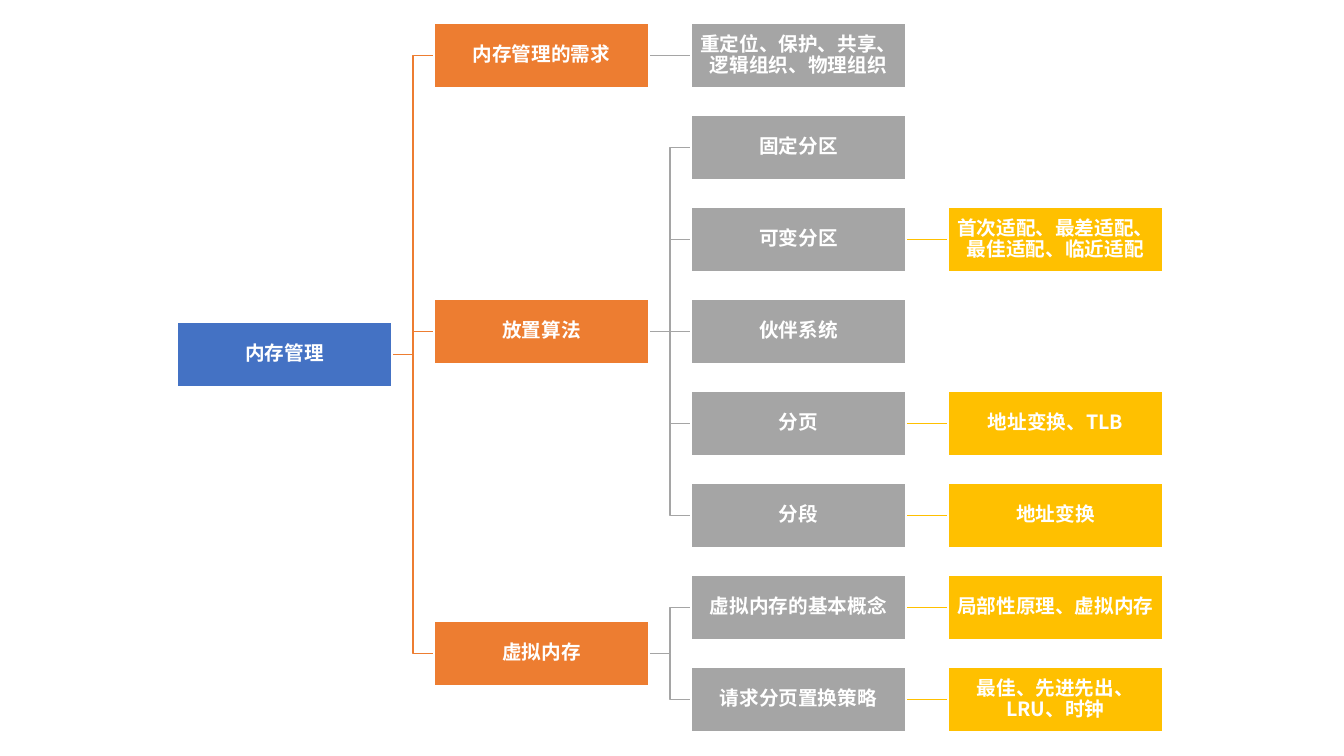
from dataclasses import dataclass

import pptx
import pptx.dml.color
import pptx.enum.shapes
import pptx.enum.text
import pptx.oxml
import pptx.oxml.ns
import pptx.shapes.autoshape
import pptx.slide
import pptx.util
from lxml import etree

EMU_PER_PX = 914400 / 100.8
SLIDE_WIDTH, SLIDE_HEIGHT = 1344, 756
BOX_WIDTH, BOX_HEIGHT = 215, 65
TREE_LEFT, TREE_TOP = 177, 23
COLUMN_PITCH, ROW_PITCH = 257, 92
TEXT_INSET = 1
LEFT_SITE, RIGHT_SITE = 1, 3


@dataclass(frozen=True)
class Theme:
    levels: tuple[str, ...] = ("4472C4", "ED7D31", "A5A5A5", "FFC000")
    white: str = "FFFFFF"
    font: str = "Noto Sans CJK SC"
    text_size: int = 14
    line_width: int = 1


@dataclass(frozen=True)
class Topic:
    text: str
    children: tuple["Topic", ...] = ()


@dataclass(frozen=True)
class DrawnTopic:
    shape: pptx.shapes.autoshape.Shape
    row: float
    next_row: int


THEME = Theme()

MEMORY_TREE = Topic("内存管理", (
    Topic("内存管理的需求", (
        Topic("重定位、保护、共享、逻辑组织、物理组织"),
    )),
    Topic("放置算法", (
        Topic("固定分区"),
        Topic("可变分区", (Topic("首次适配、最差适配、最佳适配、临近适配"),)),
        Topic("伙伴系统"),
        Topic("分页", (Topic("地址变换、TLB"),)),
        Topic("分段", (Topic("地址变换"),)),
    )),
    Topic("虚拟内存", (
        Topic("虚拟内存的基本概念", (Topic("局部性原理、虚拟内存"),)),
        Topic("请求分页置换策略", (Topic("最佳、先进先出、LRU、时钟"),)),
    )),
))


def px(length: float) -> int:
    return round(length * EMU_PER_PX)


def rgb(color: str) -> pptx.dml.color.RGBColor:
    return pptx.dml.color.RGBColor.from_string(color)


def write_text(shape: pptx.shapes.autoshape.Shape, text: str, *, size: int,
               color: str, font: str, bold: bool, line_spacing: float,
               space_after: int) -> None:
    qn = pptx.oxml.ns.qn
    frame = shape.text_frame
    frame.word_wrap = True
    frame.vertical_anchor = pptx.enum.text.MSO_ANCHOR.MIDDLE
    frame.margin_left = frame.margin_right = px(TEXT_INSET)
    frame.margin_top = frame.margin_bottom = px(TEXT_INSET)
    paragraph = frame.paragraphs[0]
    paragraph.alignment = pptx.enum.text.PP_ALIGN.CENTER
    paragraph.line_spacing = line_spacing
    run = paragraph.add_run()
    run.text = text
    run.font.size = pptx.util.Pt(size)
    run.font.bold = bold
    run.font.name = font
    run.font.color.rgb = rgb(color)
    for properties in shape.element.iter(qn("a:pPr")):
        spacing = etree.SubElement(properties, qn("a:spcAft"))
        etree.SubElement(spacing, qn("a:spcPct"), val=str(space_after * 1000))
    for properties in shape.element.iter(qn("a:rPr")):
        etree.SubElement(properties, qn("a:ea"), typeface=font)


def draw_box(slide: pptx.slide.Slide, text: str, level: int,
             row: float) -> pptx.shapes.autoshape.Shape:
    shape = slide.shapes.add_shape(
        pptx.enum.shapes.MSO_SHAPE.RECTANGLE,
        px(TREE_LEFT + level * COLUMN_PITCH), px(TREE_TOP + row * ROW_PITCH),
        px(BOX_WIDTH), px(BOX_HEIGHT))
    shape.shadow.inherit = False
    shape.fill.solid()
    shape.fill.fore_color.rgb = rgb(THEME.levels[level])
    shape.line.color.rgb = rgb(THEME.white)
    shape.line.width = pptx.util.Pt(THEME.line_width)
    write_text(shape, text, size=THEME.text_size, color=THEME.white,
               font=THEME.font, bold=True, line_spacing=0.9, space_after=35)
    return shape


def draw_link(slide: pptx.slide.Slide, parent: pptx.shapes.autoshape.Shape,
              child: pptx.shapes.autoshape.Shape, color: str) -> None:
    kinds = pptx.enum.shapes.MSO_CONNECTOR
    kind = kinds.STRAIGHT if parent.top == child.top else kinds.ELBOW
    connector = slide.shapes.add_connector(
        kind, parent.left + parent.width, parent.top + parent.height // 2,
        child.left, child.top + child.height // 2)
    connector.begin_connect(parent, RIGHT_SITE)
    connector.end_connect(child, LEFT_SITE)
    connector.line.color.rgb = rgb(color)
    connector.line.width = pptx.util.Pt(THEME.line_width)
    etree.SubElement(connector.element.spPr, pptx.oxml.ns.qn("a:effectLst"))
    slide.shapes.element.insert(2, connector.element)


def draw_topic(slide: pptx.slide.Slide, topic: Topic, level: int,
               first_row: int) -> DrawnTopic:
    next_row = first_row
    children: list[DrawnTopic] = []
    for child in topic.children:
        children.append(draw_topic(slide, child, level + 1, next_row))
        next_row = children[-1].next_row
    if children:
        row = (children[0].row + children[-1].row) / 2
    else:
        row, next_row = first_row, first_row + 1
    shape = draw_box(slide, topic.text, level, row)
    for child in children:
        draw_link(slide, shape, child.shape, THEME.levels[level + 1])
    return DrawnTopic(shape, row, next_row)


def main() -> None:
    presentation = pptx.Presentation()
    presentation.slide_width = px(SLIDE_WIDTH)
    presentation.slide_height = px(SLIDE_HEIGHT)
    slide = presentation.slides.add_slide(presentation.slide_layouts[6])
    draw_topic(slide, MEMORY_TREE, level=0, first_row=0)
    presentation.save("out.pptx")


if __name__ == "__main__":
    main()
